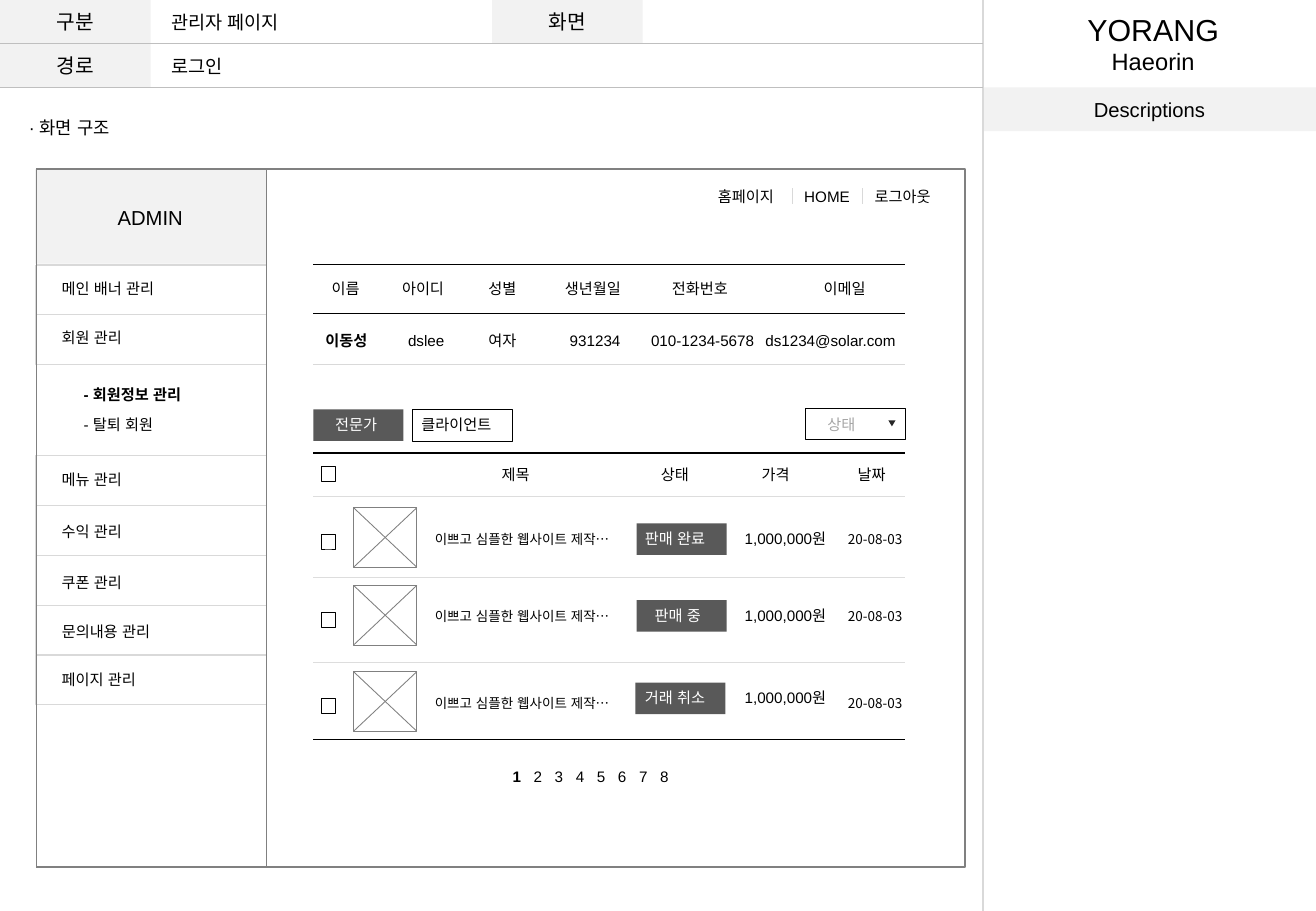
from dataclasses import dataclass
from typing import Optional

import lxml.etree
import pptx
import pptx.dml.color
import pptx.enum.lang
import pptx.enum.shapes
import pptx.enum.text
import pptx.oxml.ns
import pptx.util

Inches, Pt = pptx.util.Inches, pptx.util.Pt
RGBColor = pptx.dml.color.RGBColor
Shape = pptx.enum.shapes.MSO_SHAPE
Align = pptx.enum.text.PP_ALIGN
Anchor = pptx.enum.text.MSO_ANCHOR
qn = pptx.oxml.ns.qn

BLACK = RGBColor(0x00, 0x00, 0x00)
WHITE = RGBColor(0xFF, 0xFF, 0xFF)
PANEL = RGBColor(0xF2, 0xF2, 0xF2)
BUTTON = RGBColor(0x59, 0x59, 0x59)
ARROW = RGBColor(0x26, 0x26, 0x26)
FRAME = RGBColor(0x80, 0x80, 0x80)
HINT = RGBColor(0xA6, 0xA6, 0xA6)
HEADER_RULE = RGBColor(0xBF, 0xBF, 0xBF)
LIGHT_RULE = RGBColor(0xD9, 0xD9, 0xD9)
ROW_RULE = RGBColor(0xDD, 0xDD, 0xDD)
LATIN, KOREAN = "Arial", "Noto Sans CJK KR"
TABLE_LEFT, TABLE_RIGHT = 2.58, 7.45
SIDE_LEFT, SIDE_WIDTH, MENU_HEIGHT = 0.29, 1.9, 0.41


@dataclass
class Label:
    text: str
    left: float
    top: float
    width: float
    height: float = 0.25
    size: float = 9
    bold: bool = False
    color: RGBColor = BLACK
    font: str = LATIN
    wrap: bool = False


@dataclass
class Box:
    left: float
    top: float
    width: float
    height: float
    fill: Optional[RGBColor] = None
    line: Optional[RGBColor] = None
    weight: float = 0.25
    text: str = ""


@dataclass
class Rule:
    x1: float
    y1: float
    x2: float
    y2: float
    color: RGBColor
    weight: float = 0.75


@dataclass
class Sale:
    """One row of the sales list; each part keeps its own top."""
    thumb_top: float
    text_top: float
    status: str
    status_left: float
    button_left: float
    button_top: float


def write(para, text: str, *, size: float = 9, bold: bool = False, color: RGBColor = BLACK,
          font: str = LATIN, align: Optional[Align] = None, spacing: float = 0) -> None:
    """Add a span to a paragraph; spacing is extra room between characters in points."""
    if align is not None:
        para.alignment = align
    span = para.add_run()
    span.text = text
    span.font.size, span.font.bold, span.font.name = Pt(size), bold, font
    span.font.color.rgb = color
    span.font.language_id = pptx.enum.lang.MSO_LANGUAGE_ID.KOREAN
    properties = span.font._element
    lxml.etree.SubElement(properties, qn("a:ea")).set("typeface", KOREAN)
    if spacing:
        properties.set("spc", str(int(spacing * 100)))


def add_frame(page, left: float, top: float, width: float, height: float, wrap: bool = False):
    frame = page.shapes.add_textbox(Inches(left), Inches(top), Inches(width), Inches(height)).text_frame
    frame.word_wrap = wrap
    return frame


def draw_label(page, label: Label) -> None:
    frame = add_frame(page, label.left, label.top, label.width, label.height, label.wrap)
    write(frame.paragraphs[0], label.text, size=label.size, bold=label.bold,
          color=label.color, font=label.font)


def draw_box(page, box: Box, kind: Shape = Shape.RECTANGLE):
    shape = page.shapes.add_shape(kind, Inches(box.left), Inches(box.top), Inches(box.width), Inches(box.height))
    shape.shadow.inherit = False
    if box.fill is None:
        shape.fill.background()
    else:
        shape.fill.solid()
        shape.fill.fore_color.rgb = box.fill
    if box.line is None:
        shape.line.fill.background()
    else:
        shape.line.color.rgb = box.line
        shape.line.width = Pt(box.weight)
    if box.text:
        shape.text_frame.vertical_anchor = Anchor.MIDDLE
        write(shape.text_frame.paragraphs[0], box.text, size=12, align=Align.CENTER)
    return shape


def draw_rule(page, rule: Rule) -> None:
    line = page.shapes.add_connector(pptx.enum.shapes.MSO_CONNECTOR.STRAIGHT, Inches(rule.x1),
                                     Inches(rule.y1), Inches(rule.x2), Inches(rule.y2))
    line.line.color.rgb = rule.color
    line.line.width = Pt(rule.weight)
    lxml.etree.SubElement(line._element.spPr, qn("a:effectLst"))


def draw_table_rule(page, top: float, color: RGBColor, weight: float = 0.75) -> None:
    draw_rule(page, Rule(TABLE_LEFT, top, TABLE_RIGHT, top, color, weight))


def draw_checkbox(page, top: float) -> None:
    draw_box(page, Box(2.64, top, 0.12, 0.12, line=BLACK))


def draw_header(page) -> None:
    for box in (Box(0, 0, 1.24, 0.36, PANEL, text="구분"), Box(0, 0.36, 1.24, 0.36, PANEL, text="경로"),
                Box(4.05, 0, 1.24, 0.36, PANEL, text="화면"),
                Box(8.09, 0.72, 2.74, 0.36, PANEL, text="Descriptions")):
        draw_box(page, box)
    draw_rule(page, Rule(8.09, 0, 8.09, 7.5, LIGHT_RULE))
    for top in (0.36, 0.72):
        draw_rule(page, Rule(0, top, 8.09, top, HEADER_RULE))
    title = add_frame(page, 8.83, 0.04, 1.32, 0.64)
    write(title.paragraphs[0], "YORANG", size=18, align=Align.CENTER)
    write(title.add_paragraph(), "Haeorin", size=14, align=Align.CENTER)
    for label in (Label("관리자 페이지", 1.31, 0.04, 1.17, 0.29, 11), Label("로그인", 1.31, 0.4, 0.66, 0.29, 11),
                  Label("· 화면 구조", 0.14, 0.91, 0.95, 0.29, 10.5)):
        draw_label(page, label)


def draw_sidebar(page) -> None:
    draw_box(page, Box(SIDE_LEFT, 1.39, SIDE_WIDTH, 0.78, PANEL))
    draw_box(page, Box(0.3, 1.39, 7.64, 5.75, line=FRAME, weight=1))
    draw_rule(page, Rule(0.3, 2.18, 2.2, 2.18, LIGHT_RULE))
    for first_top, count in ((2.18, 2), (3.75, 5)):
        for index in range(count):
            draw_box(page, Box(SIDE_LEFT, first_top + index * MENU_HEIGHT, SIDE_WIDTH, MENU_HEIGHT,
                               line=LIGHT_RULE))
    draw_box(page, Box(0.3, 1.39, 1.89, 5.75, line=FRAME, weight=0.5))
    draw_label(page, Label("ADMIN", 0.87, 1.64, 0.74, 0.3, 12))
    for text, top, width in (("메인 배너 관리", 2.25, 1.03), ("회원 관리", 2.65, 0.74), ("메뉴 관리", 3.82, 0.74),
                             ("수익 관리", 4.25, 0.74), ("쿠폰 관리", 4.67, 0.74),
                             ("문의내용 관리", 5.07, 0.99), ("페이지 관리", 5.47, 0.87)):
        draw_label(page, Label(text, 0.41, top, width))
    draw_label(page, Label("- 회원정보 관리", 0.59, 3.12, 1.11, bold=True))
    draw_label(page, Label("- 탈퇴 회원", 0.59, 3.37, 0.82))


def draw_member(page) -> None:
    for text, left, width in (("홈페이지", 5.81, 0.71), ("HOME", 6.52, 0.58), ("로그아웃", 7.1, 0.71)):
        draw_label(page, Label(text, left, 1.49, width))
    for left in (6.52, 7.1):
        draw_rule(page, Rule(left, 1.55, left, 1.68, LIGHT_RULE))
    for top, color in ((2.18, BLACK), (2.58, BLACK), (3, LIGHT_RULE)):
        draw_table_rule(page, top, color)
    for text, left, width in (("이름", 2.63, 0.45), ("아이디", 3.21, 0.58), ("성별", 3.92, 0.45),
                              ("생년월일", 4.55, 0.71), ("전화번호", 5.43, 0.71), ("이메일", 6.68, 0.58)):
        draw_label(page, Label(text, left, 2.25, width))
    for text, left, width in (("이동성", 2.58, 0.58), ("dslee", 3.26, 0.5), ("여자", 3.92, 0.45),
                              ("931234", 4.59, 0.62), ("010-1234-5678", 5.26, 1.06)):
        draw_label(page, Label(text, left, 2.68, width, bold=text == "이동성"))
    draw_label(page, Label("ds1234@solar.com", 6.2, 2.68, 1.45, wrap=True))


def draw_sale(page, sale: Sale) -> None:
    left, right, top, bottom = 2.91, 3.43, sale.thumb_top, sale.thumb_top + 0.49
    draw_box(page, Box(left, top, 0.52, 0.49, line=FRAME, weight=0.5))
    draw_rule(page, Rule(left, bottom, right, top, FRAME, 0.5))
    draw_rule(page, Rule(right, bottom, left, top, FRAME, 0.5))
    draw_checkbox(page, sale.text_top + 0.08)
    for text, text_left in (("이쁘고 심플한 웹사이트 제작…", 3.48), ("20-08-03", 6.88)):
        draw_label(page, Label(text, text_left, sale.text_top, 1.75, 0.42, 8, font=KOREAN, wrap=True))
    draw_box(page, Box(sale.button_left, sale.button_top, 0.74, 0.26, BUTTON))
    draw_label(page, Label(sale.status, sale.status_left, sale.button_top, 0.87, color=WHITE, wrap=True))
    draw_label(page, Label("1,000,000원", 6.03, sale.button_top, 1.07, wrap=True))


def draw_sales(page) -> None:
    draw_box(page, Box(2.58, 3.37, 0.74, 0.26, BUTTON))
    draw_box(page, Box(3.39, 3.37, 0.83, 0.26, line=BLACK))
    draw_box(page, Box(6.63, 3.36, 0.82, 0.26, line=BLACK))
    draw_box(page, Box(7.31, 3.46, 0.06, 0.05, ARROW), Shape.ISOSCELES_TRIANGLE).rotation = 180
    draw_label(page, Label("전문가", 2.66, 3.37, 0.87, color=WHITE, wrap=True))
    draw_label(page, Label("클라이언트", 3.37, 3.37, 0.83, wrap=True))
    draw_label(page, Label("상태", 6.71, 3.37, 0.45, color=HINT))
    for top in (3.73, 6.09):
        draw_table_rule(page, top, BLACK)
    for top in (4.09, 4.75, 5.45):
        draw_table_rule(page, top, ROW_RULE, 0.5)
    draw_checkbox(page, 3.84)
    for text, left in (("제목", 4.03), ("상태", 5.34), ("가격", 6.17), ("날짜", 6.96)):
        draw_label(page, Label(text, left, 3.78, 0.45))
    for sale in (Sale(4.18, 4.32, "판매 완료", 5.21, 5.24, 4.31), Sale(4.82, 4.96, "판매 중", 5.29, 5.24, 4.94),
                 Sale(5.53, 5.67, "거래 취소", 5.21, 5.23, 5.62)):
        draw_sale(page, sale)
    pager = add_frame(page, 4.12, 6.27, 1.5, 0.25).paragraphs[0]
    write(pager, "1", bold=True, spacing=2.5)
    write(pager, " 2 3 4 5 6 7 8", spacing=2.5)


def main() -> None:
    deck = pptx.Presentation()
    deck.slide_width, deck.slide_height = Inches(10.83), Inches(7.5)
    page = deck.slides.add_slide(deck.slide_layouts[6])
    for draw in (draw_header, draw_sidebar, draw_member, draw_sales):
        draw(page)
    deck.save("out.pptx")


if __name__ == "__main__":
    main()
